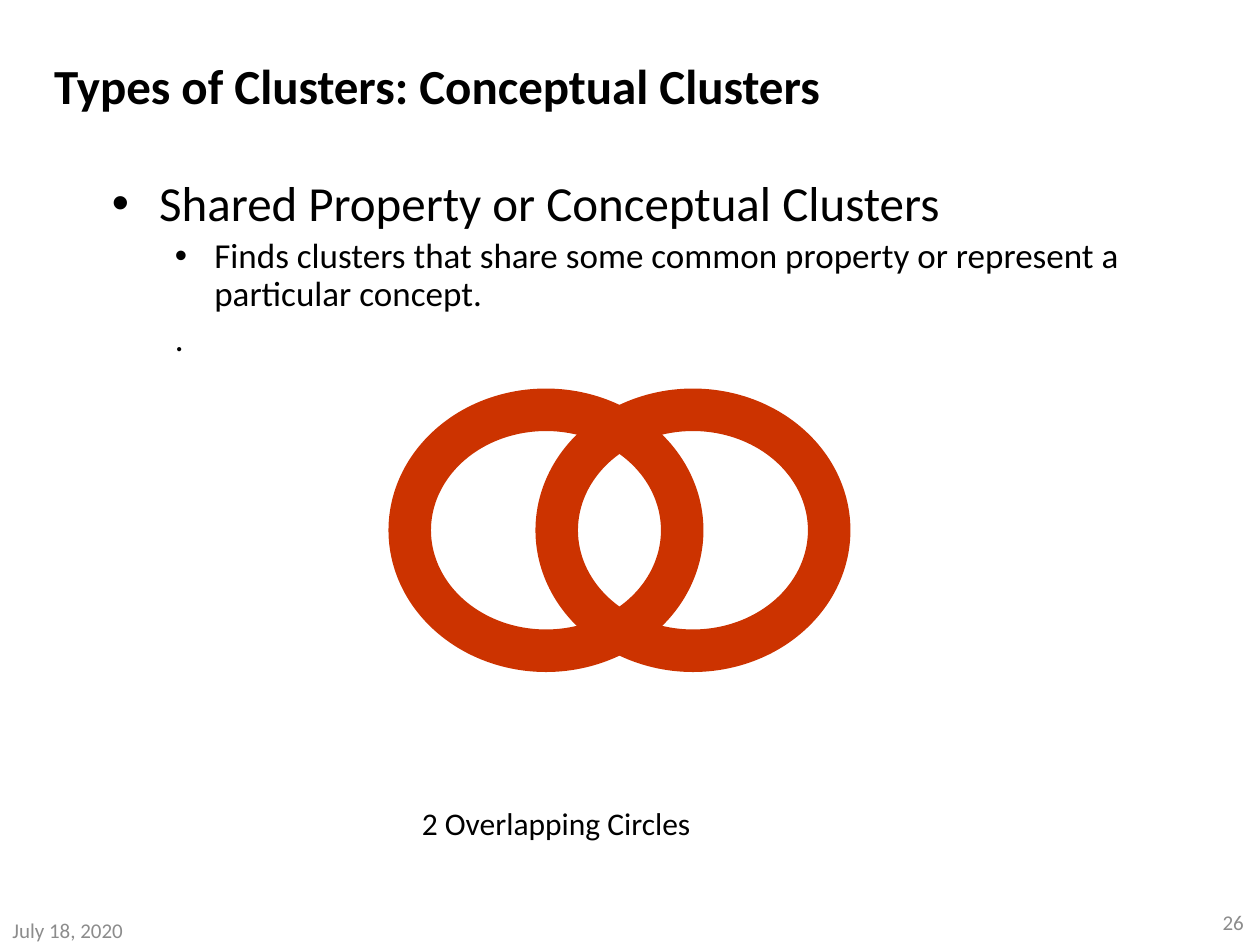
from lxml import etree
from pptx import Presentation
from pptx.dml.color import RGBColor
from pptx.enum.shapes import MSO_SHAPE
from pptx.enum.text import MSO_ANCHOR, MSO_AUTO_SIZE, PP_ALIGN
from pptx.oxml.ns import qn
from pptx.util import Pt

LEFT, RIGHT = PP_ALIGN.LEFT, PP_ALIGN.RIGHT
TOP, MIDDLE = MSO_ANCHOR.TOP, MSO_ANCHOR.MIDDLE
NO_AUTOSIZE = MSO_AUTO_SIZE.NONE
DONUT = MSO_SHAPE.DONUT
TITLE_ONLY = 5
BLACK, GREY, RED = "000000", "8C8C8C", "CC3300"


def rgb(hex_color):
    return RGBColor.from_string(hex_color)


def write(shape, box, lines, sizes, color=BLACK, bold=False, align=LEFT, anchor=TOP):
    """Place a text shape and fill it with one paragraph per line."""
    shape.left, shape.top, shape.width, shape.height = map(Pt, box)
    frame = shape.text_frame
    frame.word_wrap = True
    frame.auto_size = NO_AUTOSIZE
    frame.vertical_anchor = anchor
    frame.text = "\n".join(lines)
    for paragraph, size in zip(frame.paragraphs, sizes):
        paragraph.alignment = align
        font = paragraph.runs[0].font
        font.name, font.size, font.bold = "Calibri", Pt(size), bold
        font.color.rgb = rgb(color)
    return frame.paragraphs


prs = Presentation()
prs.slide_width, prs.slide_height = Pt(720), Pt(540)
slide = prs.slides.add_slide(prs.slide_layouts[TITLE_ONLY])
shapes = slide.shapes

heading = write(shapes.title, (23.76, 28.8, 620.64, 43.2),
                ["Types of Clusters: Conceptual Clusters"], [28],
                bold=True, anchor=MIDDLE)
heading[0].line_spacing = 0.9

# Definition: margin, hanging indent, space before and bullet of each line
definition = write(
    shapes.add_textbox(0, 0, 0, 0), (56.88, 98.64, 620.64, 342.72),
    ["Shared Property or Conceptual Clusters",
     "Finds clusters that share some common property or represent a particular concept.",
     "."],
    [28, 20, 20])
levels = [(0, 27, 27, 5.6, "•"), (1, 58.5, 22.5, 4, "•"), (1, 58.5, 22.5, 4, None)]
for paragraph, (level, margin, hanging, space, bullet) in zip(definition, levels):
    paragraph.level = level
    paragraph.line_spacing = 0.9
    paragraph.space_before = Pt(space)
    properties = paragraph._p.get_or_add_pPr()
    properties.set("marL", str(Pt(margin)))
    properties.set("indent", str(-Pt(hanging)))
    if bullet:
        etree.SubElement(properties, qn("a:buFont")).set("typeface", "Arial")
        etree.SubElement(properties, qn("a:buChar")).set("char", bullet)
    else:
        etree.SubElement(properties, qn("a:buNone"))

write(shapes.add_textbox(0, 0, 0, 0), (234, 455.76, 252, 28.8),
      ["2 Overlapping Circles"], [18])

for ring_left in (222, 306):
    ring = shapes.add_shape(DONUT, Pt(ring_left), Pt(222), Pt(180), Pt(162))
    ring.adjustments[0] = 0.15
    ring.fill.solid()
    ring.fill.fore_color.rgb = rgb(RED)
    ring.line.fill.background()
    ring.shadow.inherit = False

write(shapes.add_textbox(0, 0, 0, 0), (0, 523.44, 162, 16.56),
      ["July 18, 2020"], [12], GREY, anchor=MIDDLE)
write(shapes.add_textbox(0, 0, 0, 0), (555.84, 518.4, 162, 16.56),
      ["26"], [12], GREY, align=RIGHT, anchor=MIDDLE)

prs.save("out.pptx")
